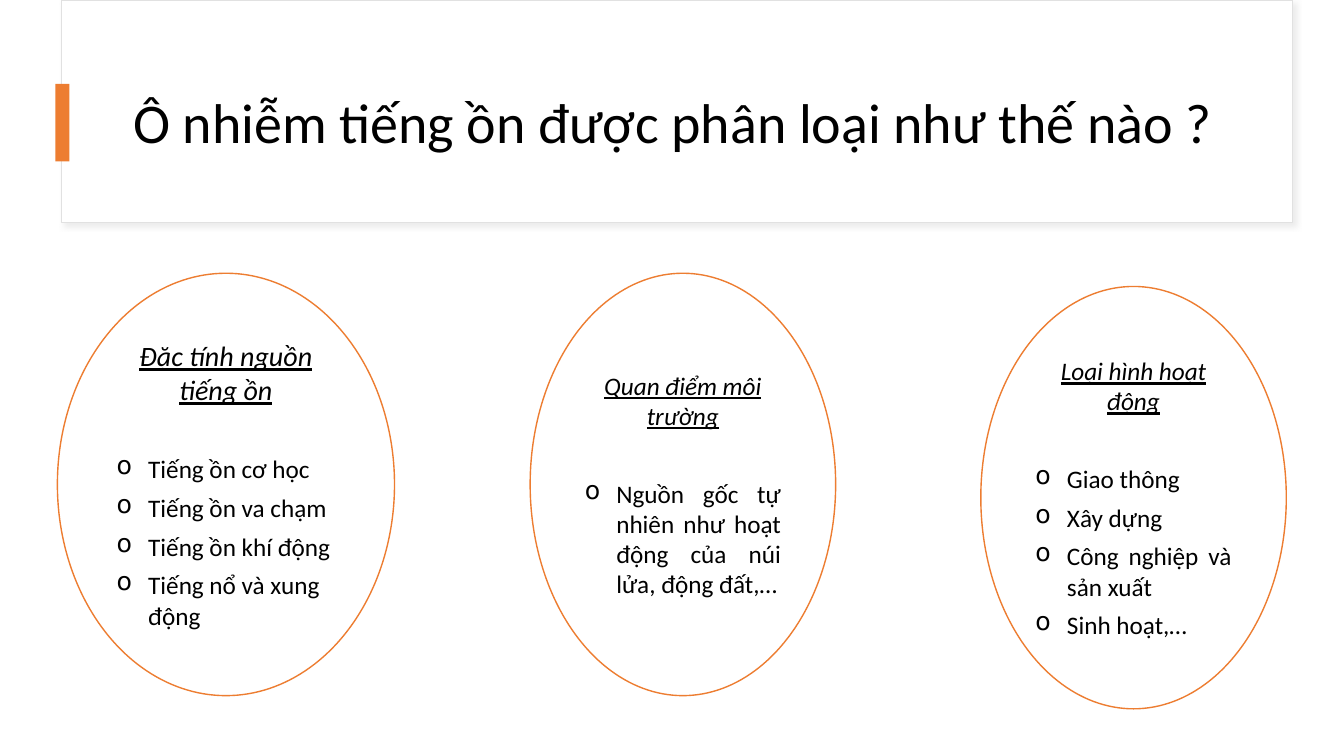
from lxml import etree
from pptx import Presentation
from pptx.dml.color import RGBColor
from pptx.enum import shapes, text
from pptx.oxml import parse_xml
from pptx.oxml.ns import nsdecls, qn
from pptx.util import Pt

WHITE = RGBColor(0xFF, 0xFF, 0xFF)
BLACK = RGBColor(0, 0, 0)
ORANGE = RGBColor(0xED, 0x7D, 0x31)
PALE_GREY = RGBColor(0xE1, 0xE1, 0xE1)
BULLET_INDENT = Pt(22.5)
CENTER, LEFT, JUSTIFY = text.PP_ALIGN.CENTER, text.PP_ALIGN.LEFT, text.PP_ALIGN.JUSTIFY


def add_panel(kind, box, fill, line=None, width=1):
    panel = slide.shapes.add_shape(kind, *map(Pt, box))
    panel.shadow.inherit = False
    panel.fill.solid()
    panel.fill.fore_color.rgb = fill
    if line is None:
        panel.line.fill.background()
    else:
        panel.line.color.rgb = line
        panel.line.width = Pt(width)
    return panel


def write(paragraph, words, size=18, align=LEFT, after=0, emphasis=False, bullet=False):
    """Fill a paragraph; emphasis means italic and underlined."""
    paragraph.alignment = align
    paragraph.space_after = Pt(after)
    run = paragraph.add_run()
    run.text = words
    font = run.font
    font.name, font.size, font.color.rgb = "Calibri", Pt(size), BLACK
    font.italic = font.underline = emphasis
    if bullet:
        properties = paragraph._p.get_or_add_pPr()
        properties.set("marL", str(BULLET_INDENT))
        properties.set("indent", str(-BULLET_INDENT))
        etree.SubElement(properties, qn("a:buChar")).set("char", "o")


deck = Presentation()
deck.slide_width, deck.slide_height = Pt(960), Pt(540)
slide = deck.slides.add_slide(deck.slide_layouts[6])

# Title card
RECTANGLE = shapes.MSO_SHAPE.RECTANGLE
card = add_panel(RECTANGLE, (44, 0, 879, 159), WHITE, PALE_GREY, 0.75)
effects = card._element.spPr.find(qn("a:effectLst"))
effects.append(parse_xml(
    f'<a:outerShdw {nsdecls("a")} blurRad="{Pt(4)}" dist="{Pt(3)}" dir="2700000" '
    'algn="tl" rotWithShape="0"><a:srgbClr val="D9D9D9"><a:alpha val="50000"/>'
    '</a:srgbClr></a:outerShdw>'))

title = slide.shapes.add_textbox(Pt(88), Pt(43), Pt(800), Pt(93)).text_frame
title.word_wrap = True
title.vertical_anchor = text.MSO_ANCHOR.MIDDLE
title.paragraphs[0].line_spacing = 0.9
write(title.paragraphs[0], "Ô nhiễm tiếng ồn được phân loại như thế nào ?", size=40)

add_panel(RECTANGLE, (39.6, 60, 10, 55.4), ORANGE)

# Three ways of classifying noise: left, top, width, heading, heading size, alignment, items
classifications = [
    (41, 195.2, 240.8, "Đặc tính nguồn tiếng ồn", 20, LEFT,
     ["Tiếng ồn cơ học", "Tiếng ồn va chạm", "Tiếng ồn khí động", "Tiếng nổ và xung động"]),
    (378.7, 195.2, 218.2, "Quan điểm môi trường", 18, JUSTIFY,
     ["Nguồn gốc tự nhiên như hoạt động của núi lửa, động đất,…"]),
    (700.6, 204.6, 218.2, "Loại hình hoạt động", 18, JUSTIFY,
     ["Giao thông", "Xây dựng", "Công nghiệp và sản xuất", "Sinh hoạt,…"]),
]
for left, top, width, heading, heading_size, align, items in classifications:
    oval = add_panel(shapes.MSO_SHAPE.OVAL, (left, top, width, 301.7), WHITE, ORANGE)
    frame = oval.text_frame
    frame.word_wrap = True
    frame.vertical_anchor = text.MSO_ANCHOR.MIDDLE
    write(frame.paragraphs[0], heading, size=heading_size, align=CENTER, after=34, emphasis=True)
    for item in items:
        write(frame.add_paragraph(), item, align=align, after=6, bullet=True)

deck.save("out.pptx")
